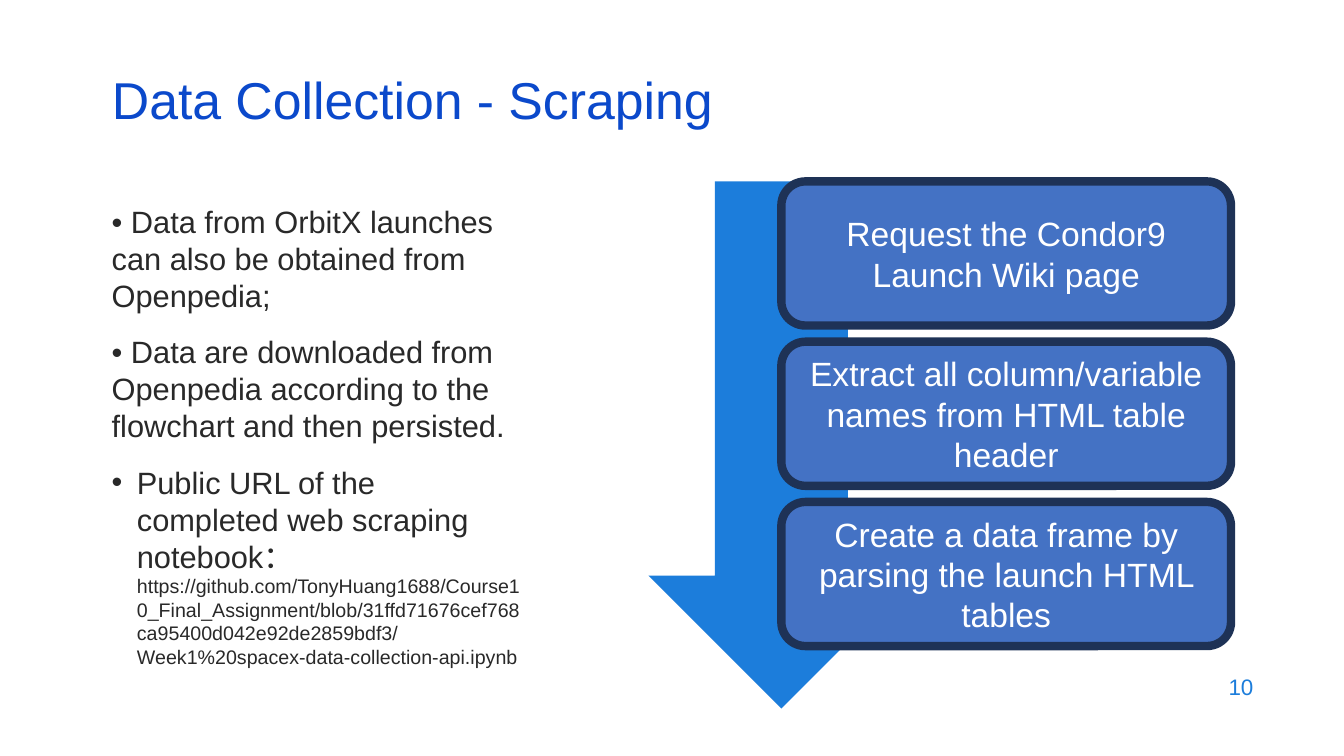
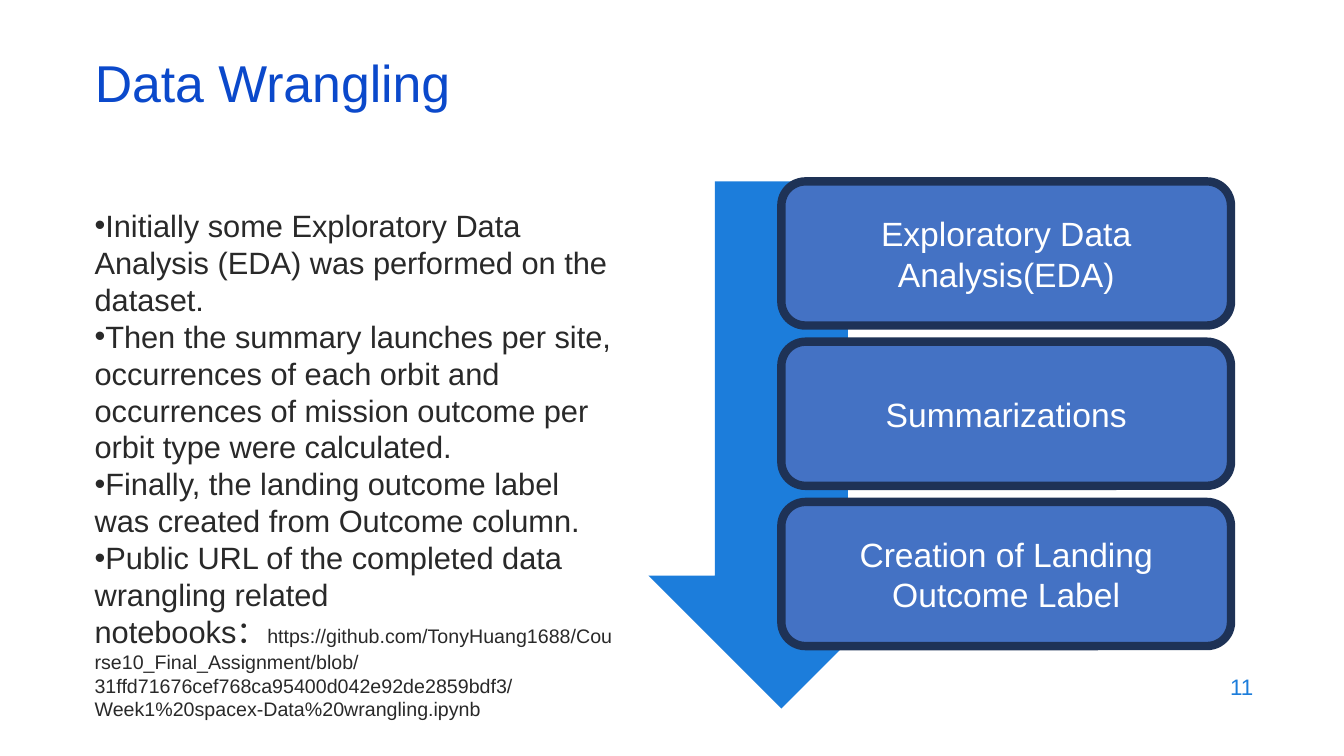
import pptx
import pptx.dml.color
import pptx.enum.shapes
import pptx.enum.text
import pptx.oxml.ns
import pptx.util
from dataclasses import dataclass
from lxml import etree

SHAPES = pptx.enum.shapes.MSO_SHAPE
ALIGN = pptx.enum.text.PP_ALIGN
ANCHOR = pptx.enum.text.MSO_ANCHOR


@dataclass(frozen=True)
class Theme:
    font: str = "Arial"
    title: str = "0B49CB"
    body: str = "292929"
    accent: str = "1C7DDB"
    step_fill: str = "4472C4"
    step_line: str = "1E3256"
    step_text: str = "FFFFFF"
    title_size: int = 37
    step_size: int = 24
    body_size: int = 22
    number_size: int = 16
    link_size: int = 14
    step_border: int = 6


THEME = Theme()
WIDTH, HEIGHT = 13.33, 7.5
FIRST_NUMBER = 10
REPOSITORY = ("https://github.com/TonyHuang1688/Course10_Final_Assignment/blob/"
              "31ffd71676cef768ca95400d042e92de2859bdf3/")
TITLE_SIZE = (11.5, 0.6)
NUMBER_AREA = (9.53, 6.59, 3, 0.44)
STEP_LEFT, STEP_TOP, STEP_WIDTH, STEP_HEIGHT, STEP_GAP = 7.75, 1.8, 4.46, 1.43, 0.16
ARROW_WIDTH, ARROW_HEIGHT = 2.64, 5.23

PAGES = [
    {
        "title": "Data Collection - Scraping",
        "title_at": (1.01, 0.76),
        "body_area": (1.01, 1.96, 4.3, 4.17),
        "space_before": 14,
        "points": [
            {"text": "• Data from OrbitX launches can also be obtained from Openpedia;"},
            {"text": "• Data are downloaded from Openpedia according to the flowchart and then persisted."},
            {"text": "Public URL of the completed web scraping notebook： ", "hang": 0.25,
             "link": REPOSITORY + "Week1%20spacex-data-collection-api.ipynb"},
        ],
        "steps": [
            "Request the Condor9 Launch Wiki page",
            "Extract all column/variable names from HTML table header",
            "Create a data frame by parsing the launch HTML tables",
        ],
    },
    {
        "title": "Data Wrangling",
        "title_at": (0.84, 0.59),
        "body_area": (0.84, 2, 5.34, 4.76),
        "space_before": 0,
        "points": [
            {"text": "Initially some Exploratory Data Analysis (EDA) was performed on the dataset.", "hang": 0},
            {"text": "Then the summary launches per site, occurrences of each orbit and occurrences "
                     "of mission outcome per orbit type were calculated.", "hang": 0},
            {"text": "Finally, the landing outcome label was created from Outcome column.", "hang": 0},
            {"text": "Public URL of the completed data wrangling related notebooks：", "hang": 0,
             "link": REPOSITORY + "Week1%20spacex-Data%20wrangling.ipynb"},
        ],
        "steps": [
            "Exploratory Data Analysis(EDA)",
            "Summarizations",
            "Creation of Landing Outcome Label",
        ],
    },
]


def inches(*lengths):
    return [pptx.util.Inches(length) for length in lengths]


def color(code):
    return pptx.dml.color.RGBColor.from_string(code)


def style(para, size, code, align=ALIGN.LEFT, spacing=1.0):
    para.alignment = align
    para.line_spacing = spacing
    para.font.name = THEME.font
    para.font.size = pptx.util.Pt(size)
    para.font.color.rgb = color(code)


def prepare(frame, anchor):
    frame.word_wrap = True
    frame.auto_size = pptx.enum.text.MSO_AUTO_SIZE.NONE
    frame.vertical_anchor = anchor


def add_bullet(para, hang):
    properties = para._p.get_or_add_pPr()
    indent = pptx.util.Inches(hang)
    properties.set("marL", str(indent))
    properties.set("indent", str(-indent))
    bullet_font = etree.SubElement(properties, pptx.oxml.ns.qn("a:buFont"))
    bullet_font.set("typeface", THEME.font)
    bullet = etree.SubElement(properties, pptx.oxml.ns.qn("a:buChar"))
    bullet.set("char", "•")


def add_title(page, text, position):
    box = page.shapes.title
    box.left, box.top, box.width, box.height = inches(*position, *TITLE_SIZE)
    prepare(box.text_frame, ANCHOR.MIDDLE)
    box.text_frame.text = text
    style(box.text_frame.paragraphs[0], THEME.title_size, THEME.title, spacing=0.7)


def add_number(page, number):
    frame = page.shapes.add_textbox(*inches(*NUMBER_AREA)).text_frame
    prepare(frame, ANCHOR.MIDDLE)
    frame.text = str(number)
    style(frame.paragraphs[0], THEME.number_size, THEME.accent, ALIGN.RIGHT)


def add_points(page, points, area, space_before):
    frame = page.shapes.add_textbox(*inches(*area)).text_frame
    prepare(frame, ANCHOR.TOP)
    for index, point in enumerate(points):
        para = frame.add_paragraph() if index else frame.paragraphs[0]
        if "hang" in point:
            add_bullet(para, point["hang"])
        style(para, THEME.body_size, THEME.body)
        if index:
            para.space_before = pptx.util.Pt(space_before)
        para.add_run().text = point["text"]
        if "link" in point:
            span = para.add_run()
            span.text = point["link"]
            span.font.size = pptx.util.Pt(THEME.link_size)


def add_filled(page, kind, area, fill):
    shape = page.shapes.add_shape(kind, *inches(*area))
    shape.shadow.inherit = False
    shape.fill.solid()
    shape.fill.fore_color.rgb = color(fill)
    return shape


def add_flow(page, steps):
    arrow_area = (STEP_LEFT - ARROW_WIDTH / 2, STEP_TOP, ARROW_WIDTH, ARROW_HEIGHT)
    arrow = add_filled(page, SHAPES.DOWN_ARROW, arrow_area, THEME.accent)
    arrow.line.fill.background()
    for index, text in enumerate(steps):
        top = STEP_TOP + index * (STEP_HEIGHT + STEP_GAP)
        step = add_filled(page, SHAPES.ROUNDED_RECTANGLE,
                          (STEP_LEFT, top, STEP_WIDTH, STEP_HEIGHT), THEME.step_fill)
        step.line.color.rgb = color(THEME.step_line)
        step.line.width = pptx.util.Pt(THEME.step_border)
        prepare(step.text_frame, ANCHOR.MIDDLE)
        step.text_frame.text = text
        style(step.text_frame.paragraphs[0], THEME.step_size, THEME.step_text, ALIGN.CENTER)


def main():
    deck = pptx.Presentation()
    deck.slide_width, deck.slide_height = inches(WIDTH, HEIGHT)
    for number, content in enumerate(PAGES, FIRST_NUMBER):
        page = deck.slides.add_slide(deck.slide_layouts[5])
        add_number(page, number)
        add_points(page, content["points"], content["body_area"], content["space_before"])
        add_title(page, content["title"], content["title_at"])
        add_flow(page, content["steps"])
    deck.save("out.pptx")


if __name__ == "__main__":
    main()
